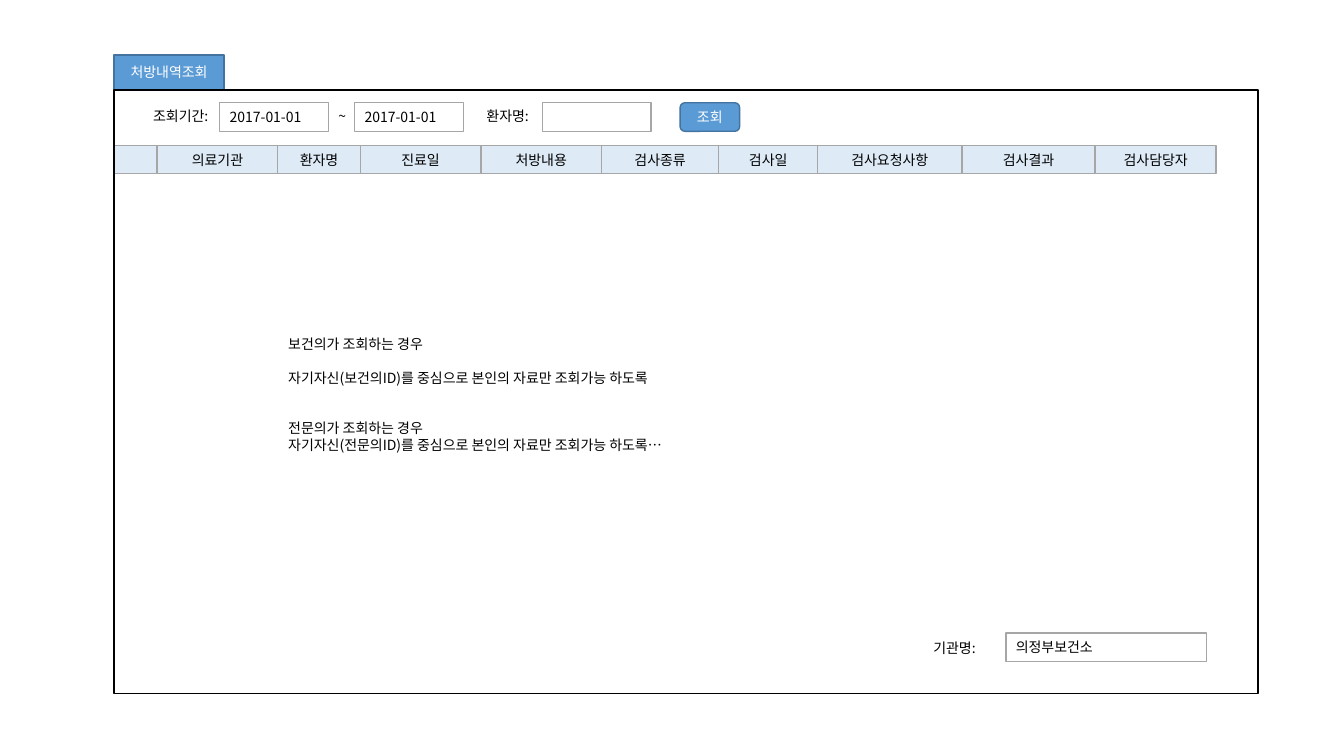
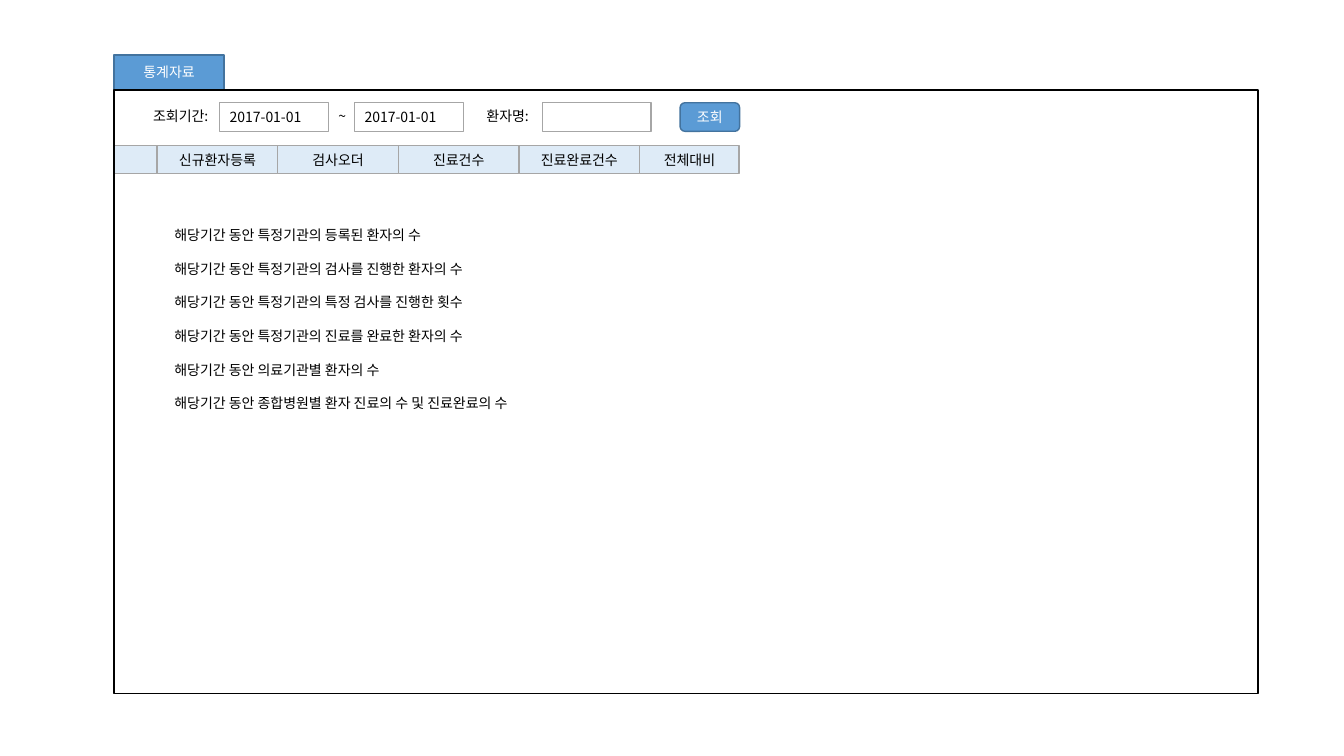
from lxml import etree
from pptx import Presentation
from pptx.dml.color import RGBColor
from pptx.enum.shapes import MSO_SHAPE
from pptx.enum.text import MSO_ANCHOR, MSO_AUTO_SIZE, PP_ALIGN
from pptx.oxml.ns import qn
from pptx.util import Cm, Pt

RECTANGLE = MSO_SHAPE.RECTANGLE
ROUNDED = MSO_SHAPE.ROUNDED_RECTANGLE
TOP, MIDDLE = MSO_ANCHOR.TOP, MSO_ANCHOR.MIDDLE
LEFT, CENTER = PP_ALIGN.LEFT, PP_ALIGN.CENTER
NO_AUTOFIT = MSO_AUTO_SIZE.NONE

FONT = "Noto Sans CJK KR"
BLACK, WHITE, GRAY = "000000", "FFFFFF", "A6A6A6"
BLUE, DARK_BLUE, PALE_BLUE = "5B9BD5", "43739E", "DEEBF7"

FRAME_LEFT, FRAME_TOP = 2.87, 2.27
SEARCH_TOP, FIELD_HEIGHT = 2.59, 0.72
HEADER_TOP, HEADER_HEIGHT = 3.67, 0.71
LABEL_HEIGHT = 0.68

SEARCH_LABELS = [("조회기간:", 3.61, 2.0), ("~", 8.28, 0.64), ("환자명:", 12.01, 1.65)]
SEARCH_FIELDS = [("2017-01-01", 5.54), ("2017-01-01", 8.94), ("", 13.67)]

SCREENS = [
    {
        "tab": "처방내역조회",
        "columns": [
            ("", 1.09), ("의료기관", 3.04), ("환자명", 2.08), ("진료일", 3.04),
            ("처방내용", 3.04), ("검사종류", 2.95), ("검사일", 2.5),
            ("검사요청사항", 3.63), ("검사결과", 3.36), ("검사담당자", 3.05),
        ],
        "notes_box": (7.01, 8.33, 20.68, 3.68),
        "notes": [
            ("보건의가 조회하는 경우", 0),
            ("자기자신(보건의ID)를 중심으로 본인의 자료만 조회가능 하도록", 12),
            ("전문의가 조회하는 경우", 24),
            ("자기자신(전문의ID)를 중심으로 본인의 자료만 조회가능 하도록…", 0),
        ],
        "institution": "의정부보건소",
    },
    {
        "tab": "통계자료",
        "columns": [
            ("", 1.09), ("신규환자등록", 3.04), ("검사오더", 3.04),
            ("진료건수", 3.04), ("진료완료건수", 3.04), ("전체대비", 2.51),
        ],
        "notes_box": (4.14, 5.59, 20.68, 5.82),
        "notes": [
            ("해당기간 동안 특정기관의 등록된 환자의 수", 0),
            ("해당기간 동안 특정기관의 검사를 진행한 환자의 수", 12),
            ("해당기간 동안 특정기관의 특정 검사를 진행한 횟수", 12),
            ("해당기간 동안 특정기관의 진료를 완료한 환자의 수", 12),
            ("해당기간 동안 의료기관별 환자의 수", 12),
            ("해당기간 동안 종합병원별 환자 진료의 수 및 진료완료의 수", 12),
        ],
        "institution": None,
    },
]


def write(shape, lines, color=BLACK, align=LEFT, anchor=MIDDLE, wrap=True):
    frame = shape.text_frame
    frame.word_wrap = wrap
    frame.auto_size = NO_AUTOFIT
    frame.vertical_anchor = anchor
    frame.text = "\n".join(text for text, gap in lines)
    for paragraph, (text, gap) in zip(frame.paragraphs, lines):
        paragraph.alignment = align
        paragraph.line_spacing = Pt(12)
        paragraph.space_before = Pt(gap)
        paragraph.font.size = Pt(10)
        paragraph.font.name = FONT
        paragraph.font.color.rgb = RGBColor.from_string(color)
        properties = paragraph._p.get_or_add_pPr()
        properties.set("marL", "0")
        properties.set("indent", "0")
        defaults = properties.find(qn("a:defRPr"))
        defaults.addprevious(etree.Element(qn("a:buNone")))
        etree.SubElement(defaults, qn("a:ea"), typeface=FONT)


def add_box(slide, box, text="", fill=None, line=GRAY, color=BLACK, align=LEFT, kind=RECTANGLE):
    shape = slide.shapes.add_shape(kind, *map(Cm, box))
    shape.shadow.inherit = False
    if fill:
        shape.fill.solid()
        shape.fill.fore_color.rgb = RGBColor.from_string(fill)
    else:
        shape.fill.background()
    shape.line.color.rgb = RGBColor.from_string(line)
    shape.line.width = Pt(1)
    if text:
        write(shape, [(text, 0)], color, align)


presentation = Presentation()
presentation.slide_width = Cm(33.87)
presentation.slide_height = Cm(19.05)

for screen in SCREENS:
    slide = presentation.slides.add_slide(presentation.slide_layouts[1])
    tab, notes = slide.placeholders

    tab.left, tab.top, tab.width, tab.height = map(Cm, (FRAME_LEFT, 1.39, 2.78, 0.86))
    tab.fill.solid()
    tab.fill.fore_color.rgb = RGBColor.from_string(BLUE)
    tab.line.color.rgb = RGBColor.from_string(DARK_BLUE)
    tab.line.width = Pt(1)
    write(tab, [(screen["tab"], 0)], WHITE, CENTER)

    notes.left, notes.top, notes.width, notes.height = map(Cm, screen["notes_box"])
    write(notes, screen["notes"], anchor=TOP)

    left = FRAME_LEFT
    for heading, width in screen["columns"]:
        add_box(slide, (left, HEADER_TOP, width, HEADER_HEIGHT), heading, PALE_BLUE, align=CENTER)
        left += width
    add_box(slide, (FRAME_LEFT, FRAME_TOP, 28.83, 15.21), line=BLACK)

    labels = [(text, left, SEARCH_TOP, width) for text, left, width in SEARCH_LABELS]
    fields = [(text, left, SEARCH_TOP, 2.74) for text, left in SEARCH_FIELDS]
    if screen["institution"]:
        labels.append(("기관명:", 23.27, 15.98, 1.65))
        fields.append((screen["institution"], 25.35, 15.95, 5.05))
    for text, left, top, width in fields:
        add_box(slide, (left, top, width, FIELD_HEIGHT), text)
    for text, left, top, width in labels:
        label = slide.shapes.add_textbox(Cm(left), Cm(top), Cm(width), Cm(LABEL_HEIGHT))
        write(label, [(text, 0)], anchor=TOP, wrap=False)
    add_box(slide, (17.14, SEARCH_TOP, 1.5, FIELD_HEIGHT), "조회", BLUE, DARK_BLUE, WHITE, CENTER, ROUNDED)

presentation.save("out.pptx")
